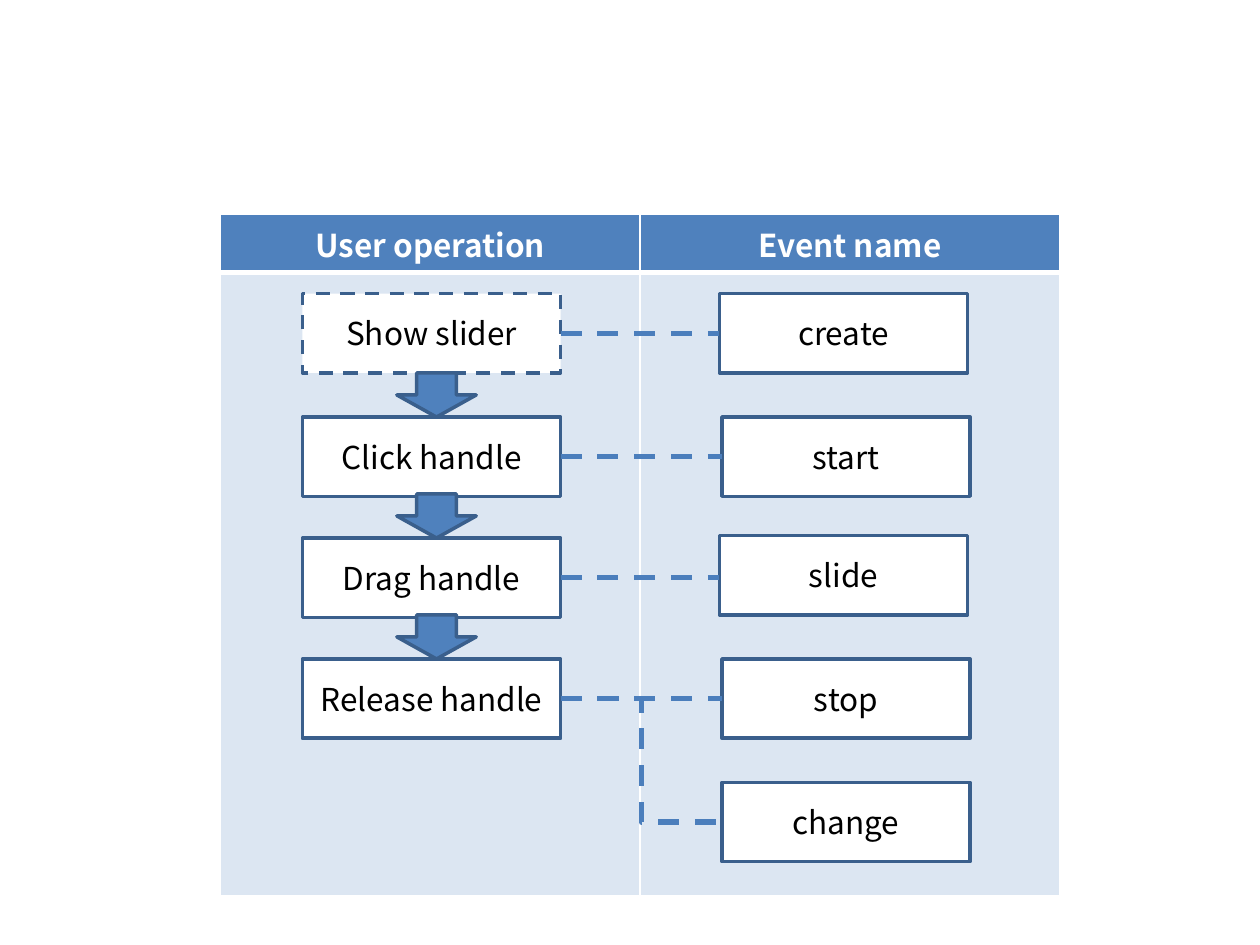
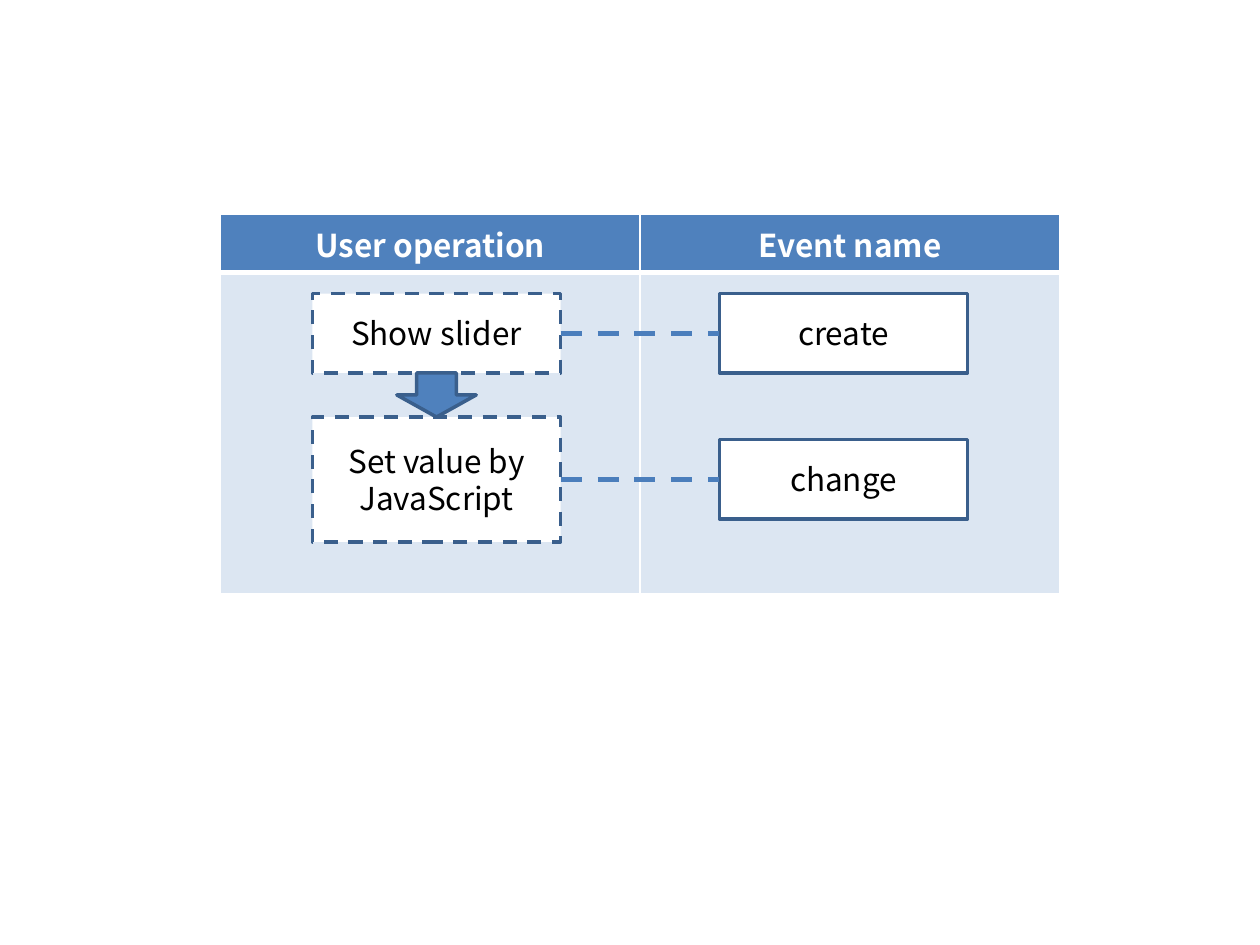
import lxml.etree
import pptx
import pptx.dml.color
import pptx.enum.dml
import pptx.enum.shapes
import pptx.enum.text
import pptx.oxml.ns
import pptx.util

Inches = pptx.util.Inches
Pt = pptx.util.Pt
RGBColor = pptx.dml.color.RGBColor
MSO_SHAPE = pptx.enum.shapes.MSO_SHAPE
MSO_CONNECTOR = pptx.enum.shapes.MSO_CONNECTOR
DASH = pptx.enum.dml.MSO_LINE.DASH
qn = pptx.oxml.ns.qn

WHITE = RGBColor(0xFF, 0xFF, 0xFF)
BLACK = RGBColor(0x00, 0x00, 0x00)
BLUE = RGBColor(0x4F, 0x81, 0xBD)
PALE_BLUE = RGBColor(0xDC, 0xE6, 0xF2)
OUTLINE = RGBColor(0x3A, 0x5F, 0x8C)
LINK_BLUE = RGBColor(0x4B, 0x7E, 0xBC)

BOX_HEIGHT = 0.63
EVENT_WIDTH = 1.97
TOP, RIGHT, BOTTOM, LEFT = 0, 3, 2, 1


class EventDiagram:
    font = "Noto Sans CJK JP"
    size = Pt(18)

    def __init__(self, prs):
        self.prs = prs
        self.slide = None

    def new_slide(self):
        self.slide = self.prs.slides.add_slide(self.prs.slide_layouts[6])

    def text(self, tf, text, color, bold=False):
        p = tf.paragraphs[0]
        p.text = text
        p.alignment = pptx.enum.text.PP_ALIGN.CENTER
        p.font.name = self.font
        p.font.size = self.size
        p.font.bold = bold
        p.font.color.rgb = color

    def cell_style(self, cell, fill, top, bottom):
        tc_pr = cell._tc.get_or_add_tcPr()
        for side, width in (("L", 1), ("R", 1), ("T", top), ("B", bottom)):
            ln = lxml.etree.SubElement(tc_pr, qn("a:ln" + side), w=str(Pt(width)))
            solid = lxml.etree.SubElement(ln, qn("a:solidFill"))
            lxml.etree.SubElement(solid, qn("a:srgbClr"), val=str(WHITE))
        cell.fill.solid()
        cell.fill.fore_color.rgb = fill

    def table(self, body_height):
        header_height = 0.45
        frame = self.slide.shapes.add_table(
            2, 2, Inches(1.75), Inches(1.7),
            Inches(6.66), Inches(header_height + body_height))
        table = frame.table
        table.horz_banding = False
        table.rows[0].height = Inches(header_height)
        table.rows[1].height = Inches(body_height)
        for col, heading in enumerate(("User operation", "Event name")):
            table.columns[col].width = Inches(3.33)
            header, body = table.cell(0, col), table.cell(1, col)
            self.cell_style(header, BLUE, 1, 3)
            self.cell_style(body, PALE_BLUE, 3, 1)
            self.text(header.text_frame, heading, WHITE, True)

    def shape(self, kind, x, y, w, h, fill):
        sp = self.slide.shapes.add_shape(kind, Inches(x), Inches(y), Inches(w), Inches(h))
        sp.shadow.inherit = False
        sp.fill.solid()
        sp.fill.fore_color.rgb = fill
        sp.line.color.rgb = OUTLINE
        sp.line.width = Pt(2)
        return sp

    def box(self, text, x, y, w, h=BOX_HEIGHT, dashed=False):
        sp = self.shape(MSO_SHAPE.RECTANGLE, x, y, w, h, WHITE)
        if dashed:
            sp.line.dash_style = DASH
        tf = sp.text_frame
        tf.word_wrap = True
        tf.vertical_anchor = pptx.enum.text.MSO_ANCHOR.MIDDLE
        self.text(tf, text, BLACK)
        return sp

    def down_arrow(self, y):
        self.shape(MSO_SHAPE.DOWN_ARROW, 3.15, y, 0.63, 0.35, BLUE)

    def link(self, operation, event, kind=MSO_CONNECTOR.STRAIGHT):
        cxn = self.slide.shapes.add_connector(kind, 0, 0, 0, 0)
        cxn.begin_connect(operation, RIGHT)
        cxn.end_connect(event, LEFT)
        if kind == MSO_CONNECTOR.STRAIGHT:
            cxn.end_y = cxn.begin_y
        cxn.line.color.rgb = LINK_BLUE
        cxn.line.width = Pt(3)
        cxn.line.dash_style = DASH
        lxml.etree.SubElement(cxn._element.spPr, qn("a:effectLst"))


def user_events(diagram):
    diagram.new_slide()
    diagram.table(4.95)
    operations = [
        diagram.box(text, 2.4, y, 2.05, dashed=(text == "Show slider"))
        for text, y in (("Show slider", 2.33), ("Click handle", 3.31),
                        ("Drag handle", 4.27), ("Release handle", 5.23))]
    events = [
        diagram.box(text, x, y, EVENT_WIDTH)
        for text, x, y in (("create", 5.71, 2.33), ("start", 5.73, 3.31),
                           ("slide", 5.71, 4.25), ("stop", 5.73, 5.23),
                           ("change", 5.73, 6.21))]
    for i in range(3):
        diagram.down_arrow(2.96 + 0.96 * i)
    for operation, event in zip(operations, events):
        diagram.link(operation, event)
    diagram.link(operations[-1], events[-1], MSO_CONNECTOR.ELBOW)


def script_events(diagram):
    diagram.new_slide()
    diagram.table(2.55)
    show = diagram.box("Show slider", 2.48, 2.33, EVENT_WIDTH, dashed=True)
    set_value = diagram.box("Set value by JavaScript", 2.48, 3.31, EVENT_WIDTH, 0.99, True)
    create = diagram.box("create", 5.71, 2.33, EVENT_WIDTH)
    change = diagram.box("change", 5.71, 3.49, EVENT_WIDTH)
    diagram.down_arrow(2.96)
    diagram.link(show, create)
    diagram.link(set_value, change)


def main():
    prs = pptx.Presentation()
    prs.slide_width = Inches(10)
    prs.slide_height = Inches(7.5)
    diagram = EventDiagram(prs)
    user_events(diagram)
    script_events(diagram)
    prs.save("out.pptx")


if __name__ == "__main__":
    main()
